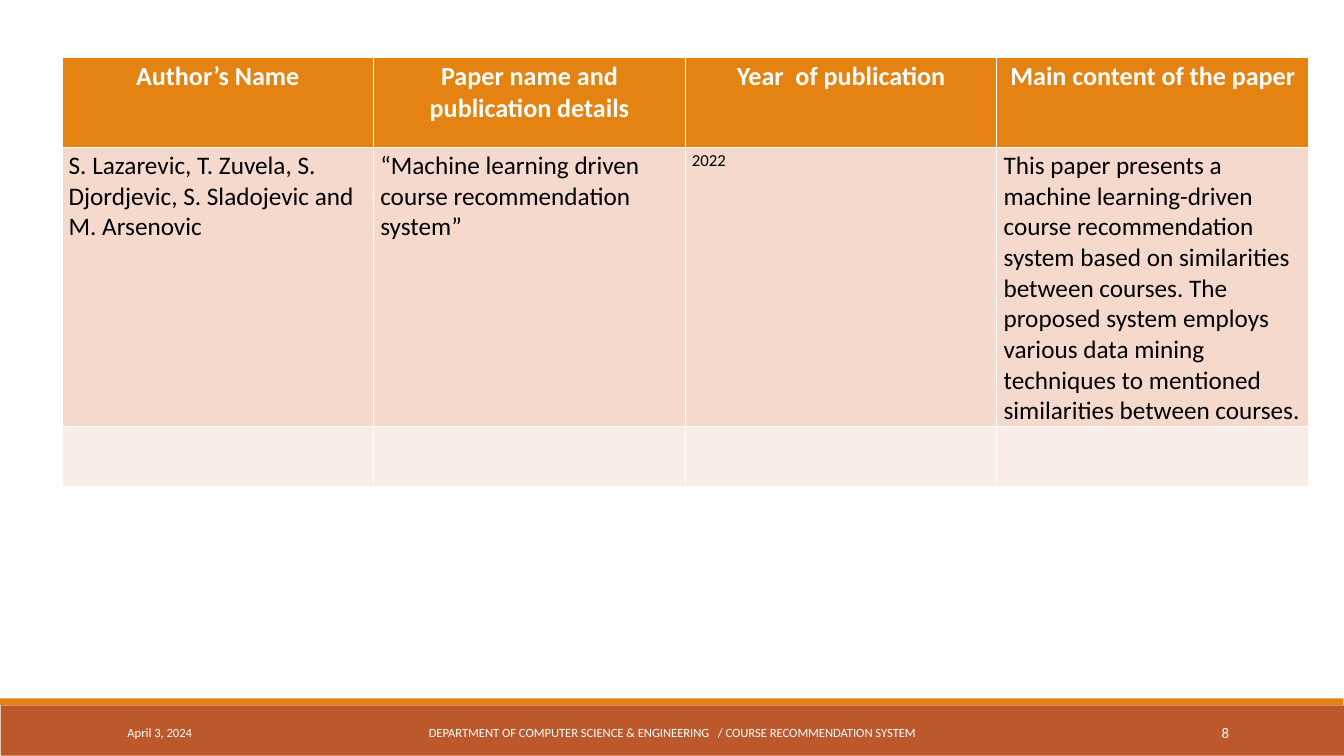
import pptx
import pptx.dml.color
import pptx.enum.shapes
import pptx.enum.text
import pptx.util

Cm = pptx.util.Cm
Pt = pptx.util.Pt
RGBColor = pptx.dml.color.RGBColor
ALIGN = pptx.enum.text.PP_ALIGN

WHITE = RGBColor(0xFF, 0xFF, 0xFF)
BLACK = RGBColor(0x00, 0x00, 0x00)
ORANGE = RGBColor(0xE4, 0x83, 0x12)
RUST = RGBColor(0xBD, 0x58, 0x2C)
BAND_DARK = RGBColor(0xF5, 0xD9, 0xCC)
BAND_LIGHT = RGBColor(0xFA, 0xED, 0xE7)
FONT = "Calibri"

ROWS = [
    ["Author’s Name", "Paper name and publication details",
     "Year  of publication", "Main content of the paper"],
    ["S. Lazarevic, T. Zuvela, S. Djordjevic, S. Sladojevic and M. Arsenovic",
     "“Machine learning driven course recommendation system”",
     "2022",
     "This paper presents a machine learning-driven course recommendation "
     "system based on similarities between courses. The proposed system "
     "employs various data mining techniques to mentioned similarities "
     "between courses."],
    ["", "", "", ""],
]
ROW_HEIGHTS = [3.38, 10.54, 2.29]
ROW_FILLS = [ORANGE, BAND_DARK, BAND_LIGHT]
TABLE_LEFT, TABLE_TOP, TABLE_WIDTH = 2.34, 2.18, 47.12

BARS = [
    (0.02, 26.67, 50.78, 1.9, RUST),
    (0, 26.4, 50.78, 0.26, ORANGE),
]
FOOTERS = [
    ("April 3, 2024", 4.57, 10.31, 13.5, ALIGN.LEFT),
    ("DEPARTMENT OF COMPUTER SCIENCE & ENGINEERING   / COURSE RECOMMENDATION SYSTEM",
     15.37, 20.09, 13.5, ALIGN.CENTER),
    ("8", 41.25, 5.46, 15.8, ALIGN.RIGHT),
]
FOOTER_TOP, FOOTER_HEIGHT = 26.92, 1.52


def write(tf, text, size, color, align=ALIGN.LEFT, bold=False):
    tf.text = text
    p = tf.paragraphs[0]
    p.alignment = align
    for r in p.runs:
        r.font.name = FONT
        r.font.size = Pt(size)
        r.font.bold = bold
        r.font.color.rgb = color


def add_bars(s):
    for left, top, width, height, color in BARS:
        sp = s.shapes.add_shape(pptx.enum.shapes.MSO_SHAPE.RECTANGLE,
                                Cm(left), Cm(top), Cm(width), Cm(height))
        sp.shadow.inherit = False
        sp.fill.solid()
        sp.fill.fore_color.rgb = color
        sp.line.fill.background()


def add_footers(s):
    for text, left, width, size, align in FOOTERS:
        sp = s.shapes.add_textbox(Cm(left), Cm(FOOTER_TOP), Cm(width), Cm(FOOTER_HEIGHT))
        tf = sp.text_frame
        tf.word_wrap = True
        tf.vertical_anchor = pptx.enum.text.MSO_ANCHOR.MIDDLE
        write(tf, text, size, WHITE, align)


def add_papers_table(s):
    table = s.shapes.add_table(len(ROWS), len(ROWS[0]), Cm(TABLE_LEFT), Cm(TABLE_TOP),
                               Cm(TABLE_WIDTH), Cm(sum(ROW_HEIGHTS))).table
    for i, texts in enumerate(ROWS):
        table.rows[i].height = Cm(ROW_HEIGHTS[i])
        for j, text in enumerate(texts):
            cell = table.cell(i, j)
            cell.fill.solid()
            cell.fill.fore_color.rgb = ROW_FILLS[i]
            if i == 0:
                write(cell.text_frame, text, 28, WHITE, ALIGN.CENTER, True)
            elif text:
                write(cell.text_frame, text, 18 if j == 2 else 27, BLACK)


def main():
    prs = pptx.Presentation()
    prs.slide_width = Cm(50.8)
    prs.slide_height = Cm(28.58)
    s = prs.slides.add_slide(prs.slide_layouts[6])
    add_bars(s)
    add_footers(s)
    add_papers_table(s)
    prs.save("out.pptx")


if __name__ == "__main__":
    main()
